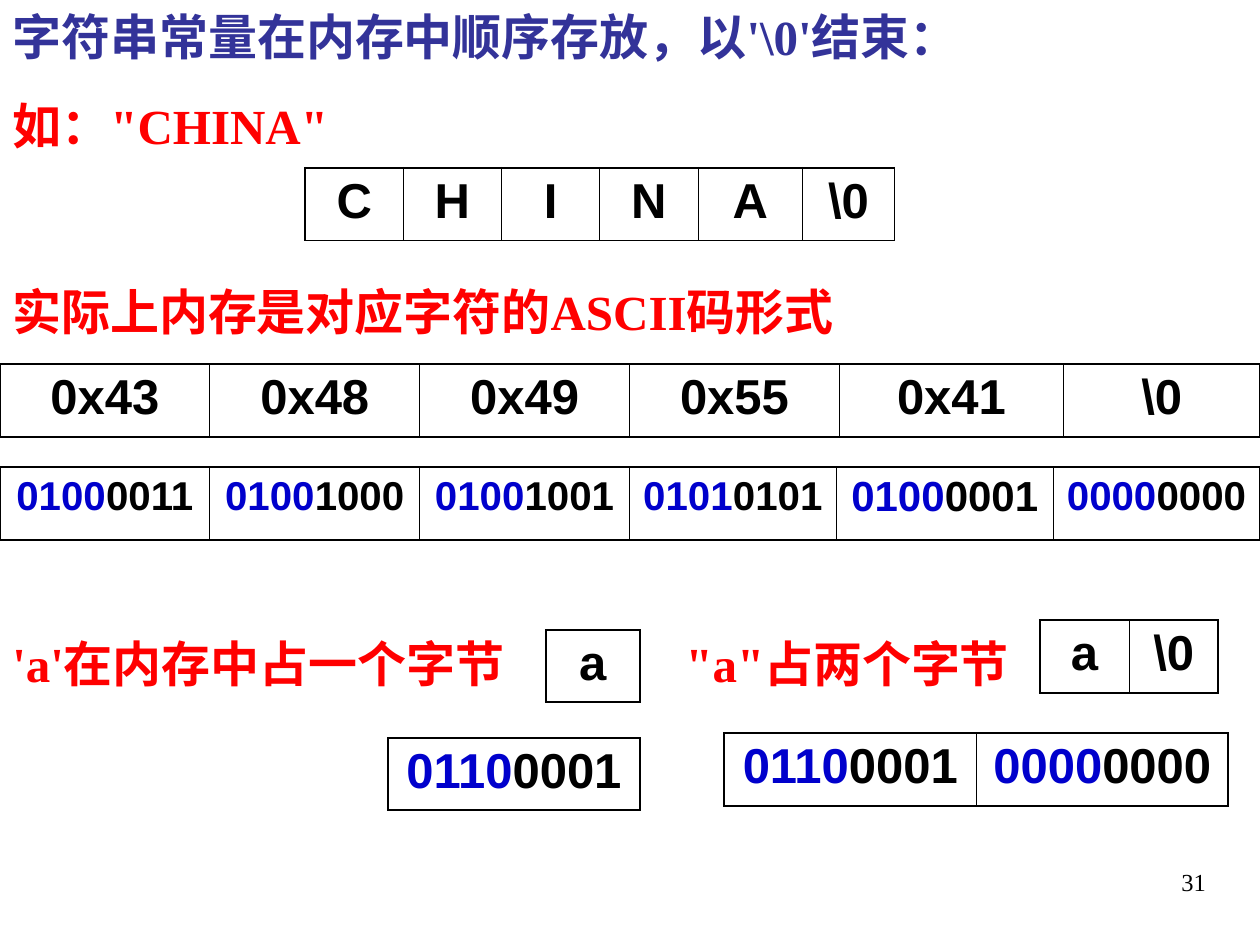
from pptx import Presentation
from pptx.util import Cm, Pt
from pptx.dml.color import RGBColor
from pptx.enum.text import PP_ALIGN, MSO_ANCHOR, MSO_AUTO_SIZE
from pptx.oxml.ns import qn
from lxml.etree import SubElement, Element

THEME = dict(
    navy="333399", red="FF0000", blue="0000CC", black="000000",
    serif="Times New Roman", sans="Arial",
    main=28, small=23, mid=24, note=14, gap=17.5, edge=1.08, rule=0.45,
)

# Content: lengths in cm
TITLE = [("字符串常量在内存中顺序存放，以'\\0'结束：", "navy"),
         ("如：\"CHINA\"", "red")]
# text, left, top, width, tab stop
NOTES = [
    ("实际上内存是对应字符的ASCII码形式", 0, 5.56, 23.5, None),
    ("'a'在内存中占一个字节\t\"a\"占两个字节", 0, 12.65, 25.4, 13.57),
]
PAGE = ("31", 18.21, 17.35, 6.35, 1.32)
# left, top, height, column widths, cells, type sizes
GRIDS = [
    (6.15, 3.38, 1.47, [1.98] * 4 + [2.11, 1.85],
     ["C", "H", "I", "N", "A", "\\0"], ["main"] * 6),
    (0, 7.34, 1.47, [4.23] * 4 + [4.52, 3.96],
     ["0x43", "0x48", "0x49", "0x55", "0x41", "\\0"], ["main"] * 6),
    (0, 9.42, 1.47, [4.23] * 3 + [4.17, 4.37, 4.17],
     ["01000011", "01001000", "01001001", "01010101", "01000001", "00000000"],
     ["small"] * 4 + ["mid", "small"]),
    (11, 12.7, 1.45, [1.9], ["a"], ["main"]),
    (20.96, 12.5, 1.47, [1.8] * 2, ["a", "\\0"], ["main"] * 2),
    (7.82, 14.88, 1.45, [5.08], ["01100001"], ["main"]),
    (14.6, 14.78, 1.47, [5.08] * 2, ["01100001", "00000000"], ["main"] * 2),
]


def style(run, size, face, color, bold=True):
    font = run.font
    font.size, font.name, font.bold = Pt(THEME[size]), THEME[face], bold
    font.color.rgb = RGBColor.from_string(THEME[color])


def place(shape, *box):
    shape.left, shape.top, shape.width, shape.height = map(Cm, box)


def setup(frame):
    frame.word_wrap = True
    frame.auto_size = MSO_AUTO_SIZE.SHAPE_TO_FIT_TEXT
    frame.vertical_anchor = MSO_ANCHOR.TOP


def border(cell, first, last):
    props = cell._tc.get_or_add_tcPr()
    sides = [("L", first), ("R", last), ("T", True), ("B", True)]
    for spot, (side, outer) in enumerate(sides):
        width = Pt(THEME["edge" if outer else "rule"])
        line = Element(qn("a:ln" + side), w=str(int(width)))
        fill = SubElement(line, qn("a:solidFill"))
        SubElement(fill, qn("a:srgbClr"), val=THEME["black"])
        props.insert(spot, line)


def grid(slide, left, top, height, widths, cells, sizes):
    table = slide.shapes.add_table(
        1, len(cells), Cm(left), Cm(top), Cm(sum(widths)), Cm(height)).table
    table.first_row = table.horz_banding = False
    table.rows[0].height = Cm(height)
    for i, (width, text, size) in enumerate(zip(widths, cells, sizes)):
        table.columns[i].width = Cm(width)
        cell = table.cell(0, i)
        cell.fill.background()
        border(cell, i == 0, i == len(cells) - 1)
        para = cell.text_frame.paragraphs[0]
        para.alignment = PP_ALIGN.CENTER
        # The high half of a byte is blue
        parts = [(text, "black")]
        if len(text) == 8:
            parts = [(text[:4], "blue"), (text[4:], "black")]
        for part, color in parts:
            run = para.add_run()
            run.text = part
            style(run, size, "sans", color)


def main():
    deck = Presentation()
    deck.slide_width, deck.slide_height = Cm(25.4), Cm(19.05)
    slide = deck.slides.add_slide(deck.slide_layouts[5])

    # Title
    title = slide.shapes.title
    place(title, 0, 0, 25.4, 3.25)
    frame = title.text_frame
    setup(frame)
    frame.text = "\n".join(text for text, _ in TITLE)
    for i, (para, (_, color)) in enumerate(zip(frame.paragraphs, TITLE)):
        para.alignment = PP_ALIGN.LEFT
        para.space_before = Pt(THEME["gap"] if i else 0)
        style(para.runs[0], "main", "serif", color)

    # Red statements
    for text, left, top, width, stop in NOTES:
        box = slide.shapes.add_textbox(Cm(left), Cm(top), Cm(width), Cm(1.45))
        setup(box.text_frame)
        para = box.text_frame.paragraphs[0]
        para.text = text
        if stop:
            tabs = SubElement(para._p.get_or_add_pPr(), qn("a:tabLst"))
            SubElement(tabs, qn("a:tab"), pos=str(int(Cm(stop))), algn="l")
        for run in para.runs:
            style(run, "main", "serif", "red")

    # Memory cells
    for item in GRIDS:
        grid(slide, *item)

    # Page number
    text, *area = PAGE
    box = slide.shapes.add_textbox(*map(Cm, area))
    box.text_frame.word_wrap = True
    para = box.text_frame.paragraphs[0]
    para.text = text
    para.alignment = PP_ALIGN.RIGHT
    style(para.runs[0], "note", "serif", "black", False)

    deck.save("out.pptx")


if __name__ == "__main__":
    main()
